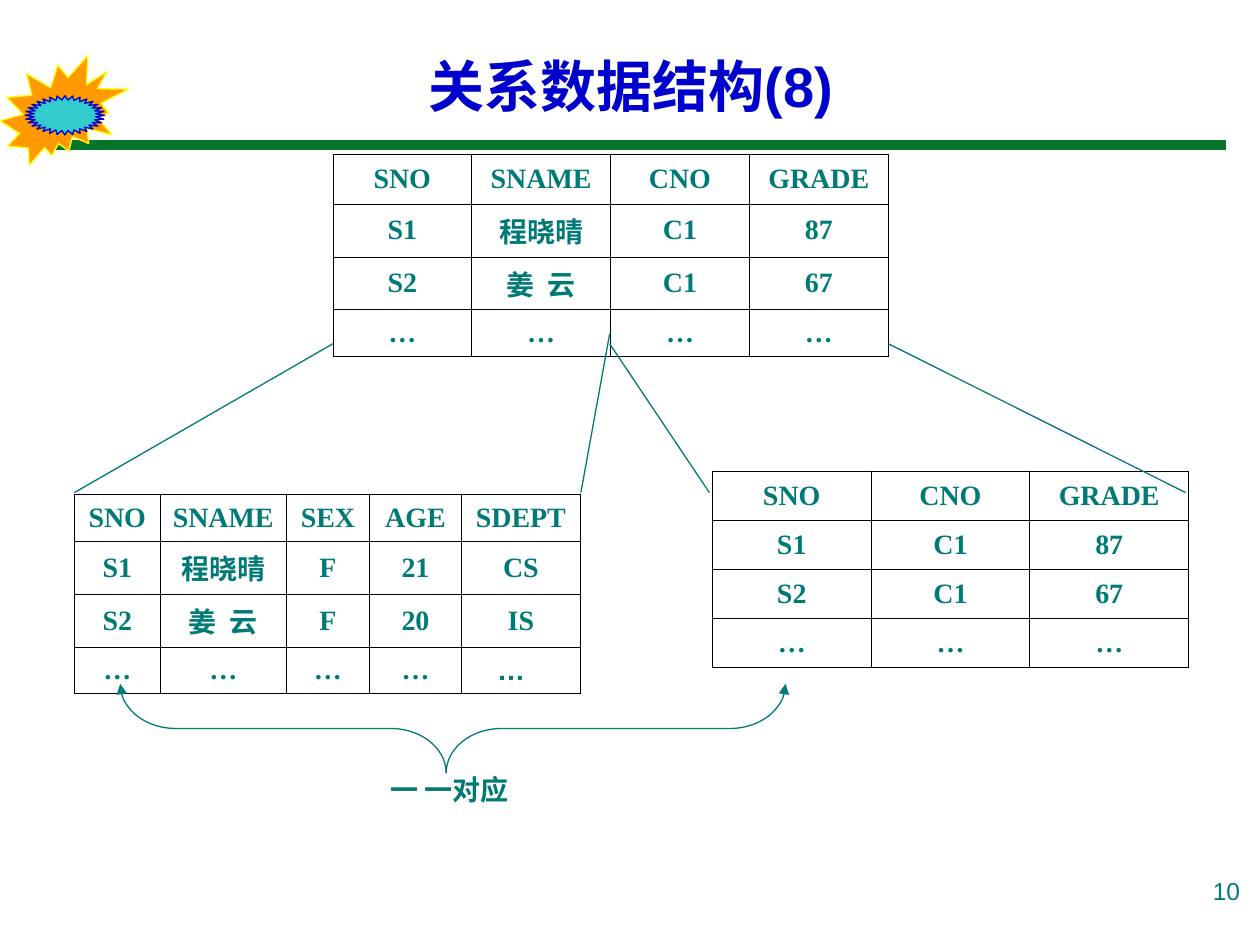
"""Build the slide on relational data structure: one joined table and its two source tables."""
from lxml.etree import SubElement
from pptx import Presentation
from pptx.dml.color import RGBColor
from pptx.enum.shapes import MSO_CONNECTOR, MSO_SHAPE
from pptx.enum.text import MSO_ANCHOR as Anchor, PP_ALIGN as Align
from pptx.oxml.ns import qn
from pptx.util import Cm, Pt

TEAL = RGBColor(0x00, 0x7A, 0x77)
BLUE = RGBColor(0x00, 0x00, 0xCC)
GREEN = RGBColor(0x06, 0x74, 0x28)
ORANGE = RGBColor(0xFF, 0x99, 0x00)
YELLOW = RGBColor(0xFF, 0xFF, 0x00)
CYAN = RGBColor(0x33, 0xCC, 0xCC)

deck = Presentation()
deck.slide_width, deck.slide_height = Cm(25.4), Cm(19.05)
page = deck.slides.add_slide(deck.slide_layouts[6])


def add_line(x1, y1, x2, y2, color, width):
    line = page.shapes.add_connector(MSO_CONNECTOR.STRAIGHT, Cm(x1), Cm(y1), Cm(x2), Cm(y2))
    line.line.color.rgb = color
    line.line.width = Pt(width)
    SubElement(line._element.spPr, qn("a:effectLst"))


def write(frame, text, size, color, bold, align, font):
    para = frame.paragraphs[0]
    para.text = text
    para.alignment = align
    para.font.name = font
    para.font.size = Pt(size)
    para.font.bold = bold
    para.font.color.rgb = color


add_line(1.09, 2.92, 24.71, 2.92, GREEN, 6)

bursts = [
    (MSO_SHAPE.EXPLOSION2, (0, 1.12, 2.59, 2.21), ORANGE, YELLOW),
    (MSO_SHAPE.STAR_32_POINT, (0.51, 1.93, 1.6, 0.79), CYAN, BLUE),
]
for kind, place, fill, outline in bursts:
    burst = page.shapes.add_shape(kind, *map(Cm, place))
    burst.shadow.inherit = False
    burst.fill.solid()
    burst.fill.fore_color.rgb = fill
    burst.line.color.rgb = outline
    burst.line.width = Pt(0.75)
burst.adjustments[0] = 0.39

tables = [
    (6.71, 3.12, [2.8] * 4, [0.99, 0.94, 0.94, 0.94], [
        ["SNO", "SNAME", "CNO", "GRADE"],
        ["S1", "程晓晴", "C1", "87"],
        ["S2", "姜  云", "C1", "67"],
        ["…"] * 4,
    ]),
    (1.5, 9.97, [1.73, 2.54, 1.68, 1.85, 2.4], [0.94] * 4, [
        ["SNO", "SNAME", "SEX", "AGE", "SDEPT"],
        ["S1", "程晓晴", "F", "21", "CS"],
        ["S2", "姜  云", "F", "20", "IS"],
        ["…"] * 5,
    ]),
    (14.36, 9.5, [3.2] * 3, [0.99] * 4, [
        ["SNO", "CNO", "GRADE"],
        ["S1", "C1", "87"],
        ["S2", "C1", "67"],
        ["…"] * 3,
    ]),
]
for left, top, widths, heights, rows in tables:
    table = page.shapes.add_table(
        len(rows), len(widths), Cm(left), Cm(top), Cm(sum(widths)), Cm(sum(heights))
    ).table
    table.first_row = table.horz_banding = False
    for column, width in zip(table.columns, widths):
        column.width = Cm(width)
    for row, height, words in zip(table.rows, heights, rows):
        row.height = Cm(height)
        for cell, word in zip(row.cells, words):
            cell.vertical_anchor = Anchor.MIDDLE
            cell.margin_left = cell.margin_right = Cm(0.23)
            write(cell.text_frame, word, 16, TEAL, True, Align.CENTER, "Times New Roman")
            properties = cell._tc.get_or_add_tcPr()
            for side in ("lnL", "lnR", "lnT", "lnB"):
                border = SubElement(properties, qn(f"a:{side}"), w=str(Pt(0.45)))
                paint = SubElement(border, qn("a:solidFill"))
                SubElement(paint, qn("a:srgbClr"), val="000000")
            cell.fill.background()
    if "SDEPT" in rows[0]:
        last = table.cell(3, 4)
        last.margin_left = Cm(0.72)
        write(last.text_frame, "…", 16, TEAL, True, Align.LEFT, "Arial")

for ends in [
    (1.5, 9.93, 6.71, 6.93),
    (11.71, 9.93, 12.29, 6.73),
    (12.29, 6.93, 14.3, 9.93),
    (17.91, 6.93, 23.9, 9.93),
]:
    add_line(*ends, TEAL, 0.75)

brace = page.shapes.add_shape(MSO_SHAPE.LEFT_BRACE, Cm(8.23), Cm(7.98), Cm(1.8), Cm(13.41))
brace.rotation = 270
brace.adjustments[0] = 0.62
brace.adjustments[1] = 0.49
brace.shadow.inherit = False
brace.fill.background()
brace.line.color.rgb = TEAL
brace.line.width = Pt(0.75)
for end in ("headEnd", "tailEnd"):
    SubElement(brace.line._get_or_add_ln(), qn(f"a:{end}"), type="triangle")

labels = [
    ((18.9, 17.53, 6.35, 1.32), "10", 14, TEAL, False, Align.RIGHT, Anchor.TOP),
    ((7.62, 15.44, 3.4, 0.94), "一 一对应", 16, TEAL, True, Align.LEFT, Anchor.TOP),
    ((0.86, 0.33, 23.72, 2.79), "关系数据结构(8)", 32, BLUE, True, Align.CENTER, Anchor.MIDDLE),
]
for place, text, size, color, bold, align, anchor in labels:
    box = page.shapes.add_textbox(*map(Cm, place))
    box.text_frame.word_wrap = True
    box.text_frame.vertical_anchor = anchor
    write(box.text_frame, text, size, color, bold, align, "Arial")

deck.save("out.pptx")
